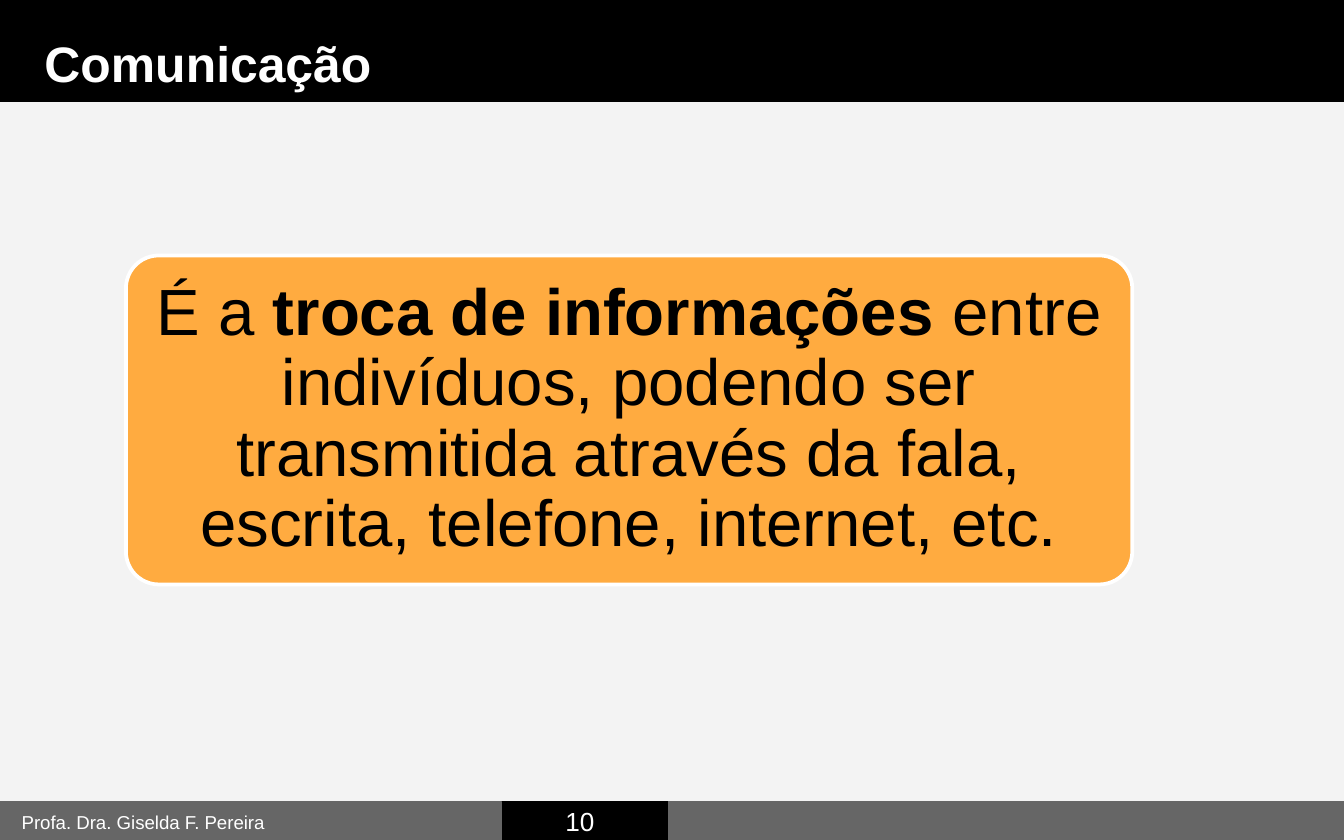
from dataclasses import dataclass

from pptx import Presentation
from pptx.dml.color import RGBColor
from pptx.enum.shapes import MSO_SHAPE as Preset
from pptx.enum.text import MSO_ANCHOR as Anchor, PP_ALIGN as Align
from pptx.shapes.autoshape import Shape
from pptx.slide import Slide
from pptx.util import Cm, Pt


@dataclass(frozen=True)
class Theme:
    font: str = "Arial"
    page: str = "F3F3F3"
    black: str = "000000"
    white: str = "FFFFFF"
    grey: str = "666666"
    orange: str = "FFAB40"
    title: float = 26.7
    body: float = 35
    footer: float = 10
    number: float = 14


@dataclass(frozen=True)
class Area:
    """Left, top, width and height in centimetres."""
    left: float
    top: float
    width: float
    height: float

    def lengths(self) -> tuple[Cm, Cm, Cm, Cm]:
        return Cm(self.left), Cm(self.top), Cm(self.width), Cm(self.height)


@dataclass(frozen=True)
class Panel:
    area: Area
    fill: str
    line: str | None = None
    line_width: float = 0.75
    preset: Preset = Preset.RECTANGLE


THEME = Theme()
WIDTH, HEIGHT = 25.4, 15.88
FOOTER_TOP, FOOTER_HEIGHT = 15.15, 0.73
NUMBER_LEFT, NUMBER_RIGHT = 9.47, 12.64


def color(code: str) -> RGBColor:
    return RGBColor.from_string(code)


def draw_panel(page: Slide, panel: Panel) -> Shape:
    box = page.shapes.add_shape(panel.preset, *panel.area.lengths())
    box.shadow.inherit = False
    box.fill.solid()
    box.fill.fore_color.rgb = color(panel.fill)
    if panel.line:
        box.line.color.rgb = color(panel.line)
        box.line.width = Pt(panel.line_width)
    else:
        box.line.fill.background()
    return box


def write(box: Shape, *parts: tuple[str, bool], size: float,
          ink: str = THEME.white, align: Align = Align.LEFT,
          anchor: Anchor = Anchor.TOP, inset: float = 0.25,
          line_spacing: float = 1.0) -> None:
    """Fill a box with one paragraph of (text, bold) parts."""
    frame = box.text_frame
    frame.word_wrap = True
    frame.vertical_anchor = anchor
    frame.margin_left = frame.margin_right = Cm(inset)
    frame.margin_top = frame.margin_bottom = Cm(inset)
    para = frame.paragraphs[0]
    para.alignment = align
    para.line_spacing = line_spacing
    for text, bold in parts:
        span = para.add_run()
        span.text = text
        span.font.name = THEME.font
        span.font.size = Pt(size)
        span.font.bold = bold
        span.font.color.rgb = color(ink)


def main() -> None:
    deck = Presentation()
    deck.slide_width, deck.slide_height = Cm(WIDTH), Cm(HEIGHT)
    page = deck.slides.add_slide(deck.slide_layouts[6])
    page.background.fill.solid()
    page.background.fill.fore_color.rgb = color(THEME.page)

    # Header band and footer bands, with a black gap for the page number
    draw_panel(page, Panel(Area(0, 0, WIDTH, 1.93), THEME.black))
    for left, right, fill in (
        (0, WIDTH, THEME.black),
        (0, NUMBER_LEFT, THEME.grey),
        (NUMBER_RIGHT, WIDTH, THEME.grey),
    ):
        area = Area(left, FOOTER_TOP, right - left, FOOTER_HEIGHT)
        draw_panel(page, Panel(area, fill, line=fill))

    # Title, author and page number
    title = page.shapes.add_textbox(*Area(0.59, 0.37, 7.72, 0.89).lengths())
    write(title, ("Comunicação", True), size=THEME.title)
    author = page.shapes.add_textbox(*Area(0.16, 15.12, 7.72, 0.89).lengths())
    write(author, ("Profa. Dra. Giselda F. Pereira", False), size=THEME.footer)
    number = page.shapes.add_textbox(*Area(10.2, 15.07, 1.52, 0.89).lengths())
    write(number, ("10", False), size=THEME.number, align=Align.CENTER,
          anchor=Anchor.MIDDLE)

    # Definition card
    card = draw_panel(page, Panel(Area(2.38, 4.83, 19.02, 6.22), THEME.orange,
                                  THEME.white, 2, Preset.ROUNDED_RECTANGLE))
    card.adjustments[0] = 0.1
    write(card, ("É a ", False), ("troca de informações ", True),
          ("entre indivíduos, podendo ser transmitida através da fala, "
           "escrita, telefone, internet, etc.", False),
          size=THEME.body, ink=THEME.black, align=Align.CENTER,
          anchor=Anchor.MIDDLE, inset=0.35, line_spacing=0.9)

    deck.save("out.pptx")


if __name__ == "__main__":
    main()
